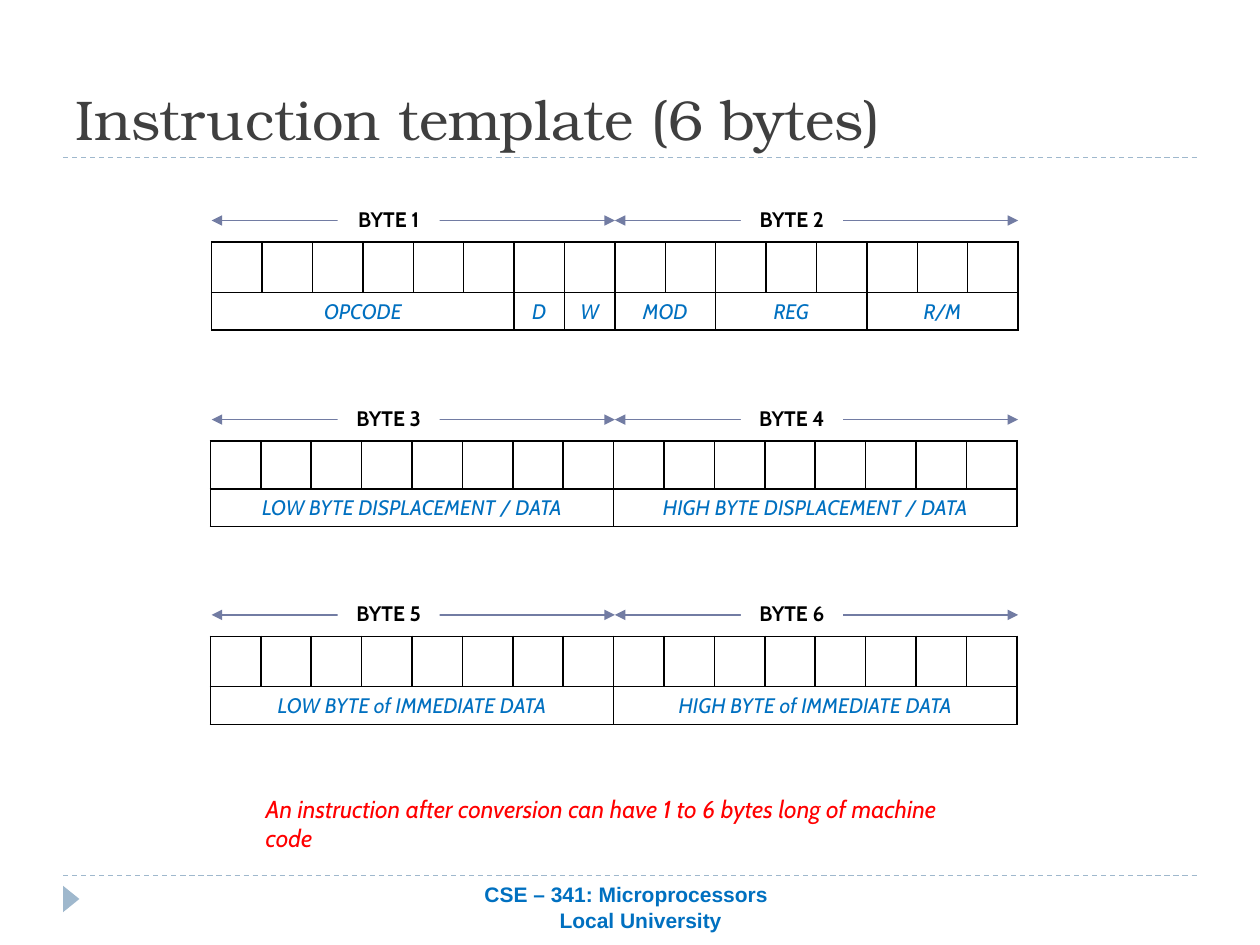
from lxml.etree import SubElement
from pptx import Presentation
from pptx.dml.color import RGBColor
from pptx.enum.dml import MSO_LINE
from pptx.enum.shapes import MSO_CONNECTOR, MSO_SHAPE
from pptx.enum.text import MSO_ANCHOR, PP_ALIGN
from pptx.oxml import parse_xml
from pptx.oxml.ns import nsdecls, qn
from pptx.util import Inches, Pt

WHITE = RGBColor(0xFF, 0xFF, 0xFF)
BLACK = RGBColor(0x00, 0x00, 0x00)
GRAY = RGBColor(0x3F, 0x3F, 0x3F)
BLUE = RGBColor(0x00, 0x70, 0xC0)
RED = RGBColor(0xFF, 0x00, 0x00)
SLATE = RGBColor(0x72, 0x7C, 0xA3)
PALE = RGBColor(0x9F, 0xB8, 0xCD)

BIT = 0.4
BYTE = 8 * BIT
LEFT = 1.68

deck = Presentation()
deck.slide_width, deck.slide_height = Inches(10), Inches(7.5)
page = deck.slides.add_slide(deck.slide_layouts[6])


def write(frame, text, size, face, color, bold=False, italic=False, align=PP_ALIGN.CENTER):
    frame.word_wrap = True
    frame.text = text
    for para in frame.paragraphs:
        para.alignment = align
        font = para.font
        font.size, font.name, font.bold, font.italic = Pt(size), face, bold, italic
        font.color.rgb = color


def draw_line(left, right, top, color):
    line = page.shapes.add_connector(
        MSO_CONNECTOR.STRAIGHT, Inches(left), Inches(top), Inches(right), Inches(top))
    line.line.color.rgb = color
    line.line.width = Pt(0.75)
    SubElement(line._element.spPr, qn("a:effectLst"))
    return line


for top in (1.25, 6.95):
    draw_line(0.5, 9.5, top, PALE).line.dash_style = MSO_LINE.DASH

marker = page.shapes.add_shape(
    MSO_SHAPE.ISOSCELES_TRIANGLE, Inches(0.46), Inches(7.07), Inches(0.21), Inches(0.13))
marker.rotation = 90
marker.shadow.inherit = False
marker.fill.solid()
marker.fill.fore_color.rgb = PALE
marker.line.fill.background()

title = page.shapes.add_textbox(Inches(0.5), Inches(0.17), Inches(9), Inches(1.08))
title.text_frame.vertical_anchor = MSO_ANCHOR.BOTTOM
write(title.text_frame, "Instruction template (6 bytes)", 32, "TeX Gyre Bonum", GRAY,
      align=PP_ALIGN.LEFT)

templates = [
    (1.68, 1.92, 0.4, [("OPCODE", 6), ("D", 1), ("W", 1), ("MOD", 2), ("REG", 3), ("R/M", 3)]),
    (1.67, 3.5, 0.38, [("LOW BYTE DISPLACEMENT / DATA", 8),
                       ("HIGH BYTE DISPLACEMENT / DATA", 8)]),
    (1.67, 5.05, 0.4, [("LOW BYTE of IMMEDIATE DATA", 8), ("HIGH BYTE of IMMEDIATE DATA", 8)]),
]

for row, (left, top, bit_height, fields) in enumerate(templates):
    frame = page.shapes.add_table(
        2, 16, Inches(left), Inches(top), Inches(2 * BYTE), Inches(bit_height + 0.3))
    table = frame.table
    table.first_row = table.horz_banding = False
    table.rows[0].height, table.rows[1].height = Inches(bit_height), Inches(0.3)
    for column in table.columns:
        column.width = Inches(BIT)
    for cell in table.iter_cells():
        cell.fill.background()
        cell.margin_top = cell.margin_bottom = 0
        for index, side in enumerate(("lnL", "lnR", "lnT", "lnB")):
            border = parse_xml(
                f'<a:{side} {nsdecls("a")} w="{Pt(1)}"><a:solidFill>'
                f'<a:srgbClr val="{BLACK}"/></a:solidFill></a:{side}>')
            cell._tc.get_or_add_tcPr().insert(index, border)

    start = 0
    for name, bits in fields:
        cell = table.cell(1, start)
        if bits > 1:
            cell.merge(table.cell(1, start + bits - 1))
        cell.margin_top = cell.margin_bottom = Inches(0.05)
        write(cell.text_frame, name, 12, "Cabin", BLUE, italic=True)
        start += bits

    for half in range(2):
        byte_left = LEFT + half * BYTE
        arrow = draw_line(byte_left, byte_left + BYTE, top - 0.17, SLATE)
        for end in ("a:headEnd", "a:tailEnd"):
            SubElement(arrow.line._get_or_add_ln(), qn(end), type="triangle")
        label = page.shapes.add_shape(
            MSO_SHAPE.RECTANGLE, Inches(byte_left + 1), Inches(top - 0.33),
            Inches(0.81), Inches(0.3))
        label.shadow.inherit = False
        label.fill.solid()
        label.fill.fore_color.rgb = WHITE
        label.line.fill.background()
        write(label.text_frame, f"BYTE {2 * row + half + 1}", 12, "Cabin", BLACK, bold=True)

footer = page.shapes.add_textbox(Inches(2.47), Inches(6.95), Inches(5), Inches(0.4))
write(footer.text_frame, "CSE – 341: Microprocessors\nLocal University", 12, "Arial", BLUE,
      bold=True)
footer.text_frame.paragraphs[1]._p.get_or_add_pPr().set("marL", str(Inches(0.23)))

note = page.shapes.add_textbox(Inches(2.01), Inches(6.25), Inches(5.71), Inches(0.34))
write(note.text_frame,
      "An instruction after conversion can have 1 to 6 bytes long of machine code",
      14, "Cabin", RED, italic=True, align=PP_ALIGN.LEFT)

deck.save("out.pptx")
